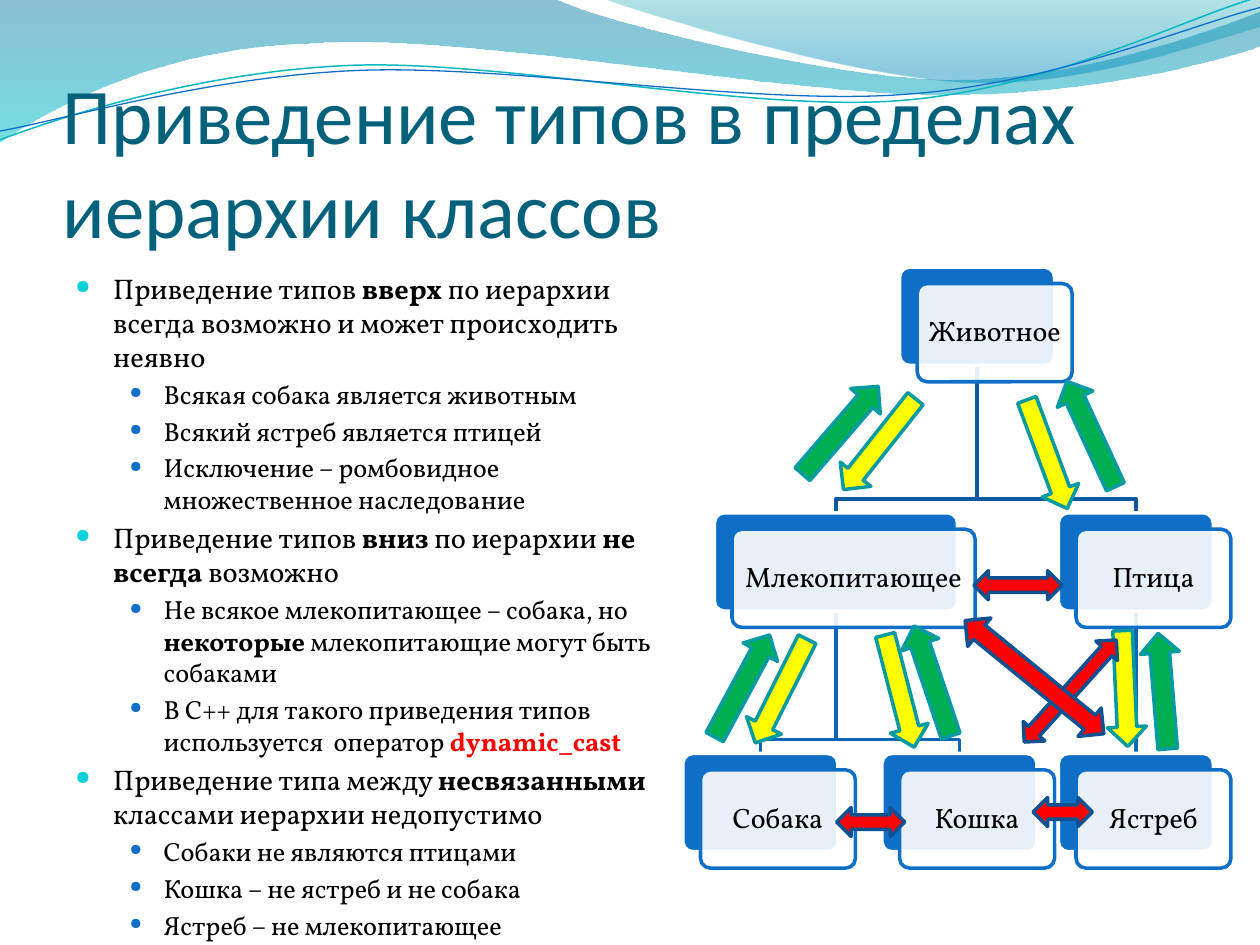
from lxml import etree
from pptx import Presentation
from pptx.dml.color import RGBColor
from pptx.enum.shapes import MSO_CONNECTOR, MSO_SHAPE
from pptx.enum.text import MSO_ANCHOR, PP_ALIGN
from pptx.oxml.ns import qn
from pptx.util import Inches, Pt

WHITE = RGBColor(0xFF, 0xFF, 0xFF)
BLACK = RGBColor(0x00, 0x00, 0x00)
TITLE = RGBColor(0x04, 0x61, 0x7B)
BLUE = RGBColor(0x0F, 0x6F, 0xC6)
CYAN = RGBColor(0x0B, 0xD0, 0xD9)
WAVE_LINE = RGBColor(0x0A, 0xB8, 0xBF)
TOP_BRANCH = RGBColor(0x0C, 0x59, 0x9F)
LOW_BRANCH = RGBColor(0x0E, 0x65, 0xB4)
GREEN = RGBColor(0x00, 0xB0, 0x50)
YELLOW = RGBColor(0xFF, 0xFF, 0x00)
RED = RGBColor(0xFF, 0x00, 0x00)
TEAL_EDGE = RGBColor(0x08, 0x9A, 0xA1)
NAVY_EDGE = RGBColor(0x0B, 0x52, 0x92)

# Waves: (start, steps); two numbers are a line, six a Bezier curve
BIG_WAVE = ((0, 0), [
    (4.4, -0.01), (4.76, 0.17, 6.64, 0.63, 7.58, 0.63), (8.53, 0.63, 9.58, 0.26, 10, 0.09),
    (10.01, 0.36), (9.83, 0.44, 8.7, 0.76, 7.46, 0.75), (6.22, 0.75, 3.82, 0.28, 2.57, 0.34),
    (1.29, 0.36, 0.46, 0.83, -0.01, 1.13)])
RIGHT_WAVE = ((4.79, -0.01), [
    (5.09, 0.11, 6.82, 0.62, 7.69, 0.65), (8.56, 0.69, 9.61, 0.32, 10, 0.21), (10, 0)])
TEAL_CURVE = ((0, 1.11), [
    (0.48, 0.93, 1.58, 0.57, 2.77, 0.52), (3.95, 0.47, 5.93, 0.89, 7.13, 0.8),
    (8.33, 0.71, 9.38, 0.15, 9.98, -0.02)])
BLUE_CURVE = ((0, 1.04), [
    (0.47, 0.96, 1.64, 0.61, 2.83, 0.56), (4.03, 0.51, 5.97, 0.84, 7.17, 0.75),
    (8.36, 0.67, 9.41, 0.21, 10, 0.06)])

# Body: (level, text); *bold*, and ! marks bold red
BODY = [
    (0, "Приведение типов *вверх* по иерархии всегда возможно и может происходить неявно"),
    (1, "Всякая собака является животным"),
    (1, "Всякий ястреб является птицей"),
    (1, "Исключение – ромбовидное множественное наследование"),
    (0, "Приведение типов *вниз *по иерархии *не всегда* возможно"),
    (1, "Не всякое млекопитающее – собака, но *некоторые* млекопитающие могут быть собаками"),
    (1, "В C++ для такого приведения типов используется  оператор *!dynamic_cast*"),
    (0, "Приведение типа между *несвязанными* классами иерархии недопустимо"),
    (1, "Собаки не являются птицами"),
    (1, "Кошка – не ястреб и не собака"),
    (1, "Ястреб – не млекопитающее"),
]
# size, left margin, hanging indent, bullet colour, bullet percent
LEVELS = [(16.2, 0.3, 0.3, CYAN, 67), (15, 0.7, 0.27, BLUE, 60)]

# Class tree, relative to its box: name -> left, top, width
CARD_H, SHIFT_X, SHIFT_Y, ELBOW = 0.78, 0.14, 0.13, 0.11
CLASSES = {
    "Животное": (1.72, 0, 1.23),
    "Млекопитающее": (0.25, 1.95, 1.93),
    "Собака": (0, 3.86, 1.23),
    "Кошка": (1.58, 3.86, 1.23),
    "Птица": (2.98, 1.95, 1.23),
    "Ястреб": (2.98, 3.86, 1.23),
}
BRANCHES = [
    ("Птица", "Ястреб", LOW_BRANCH), ("Животное", "Птица", TOP_BRANCH),
    ("Млекопитающее", "Кошка", LOW_BRANCH), ("Млекопитающее", "Собака", LOW_BRANCH),
    ("Животное", "Млекопитающее", TOP_BRANCH),
]
# Arrows, relative to the tree: left, top, rotation
UPCASTS = [(0.79, 1.14, 310.8), (2.78, 1.17, 245.3), (0.01, 3.17, 298.3),
           (1.52, 3.13, 251.5), (3.35, 3.21, 265.3)]
DOWNCASTS = [(1.1, 1.25, 128.4), (2.43, 1.33, 69.6), (3.05, 3.19, 87.4),
             (1.26, 3.21, 75.5), (0.32, 3.21, 116.6)]
# Left, top, width, height, rotation
FORBIDDEN = [(2.53, 3.25, 1.09, 0.23, 312.1), (2.31, 2.41, 0.7, 0.23, 0),
             (1.22, 4.29, 0.54, 0.23, 0), (2.78, 4.21, 0.47, 0.23, 0),
             (2.08, 3.11, 1.42, 0.29, 39.2)]


def set_alpha(color_element, percent):
    etree.SubElement(color_element, qn("a:alpha")).set("val", str(percent * 1000))


def set_line(shape, color, width):
    shape.line.color.rgb = color
    shape.line.width = Pt(width)


def add_outline(slide, points, close):
    emu = [(Inches(x), Inches(y)) for x, y in points]
    builder = slide.shapes.build_freeform(*emu[0])
    builder.add_line_segments(emu[1:], close=close)
    outline = builder.convert_to_shape()
    outline.shadow.inherit = False
    if not close:
        outline.fill.background()
    return outline


def add_wave(slide, left, top, wave, close):
    """Place all nodes and handles, then join each three of a curve into one Bezier."""
    start, steps = wave
    numbers = [n for step in (start, *steps) for n in step]
    points = [(left + x, top + y) for x, y in zip(numbers[::2], numbers[1::2])]
    outline = add_outline(slide, points, close)
    segments = iter(list(outline._element.iter(qn("a:lnTo"))))
    for step in steps:
        first = next(segments)
        if len(step) == 6:
            curve = etree.Element(qn("a:cubicBezTo"))
            first.addprevious(curve)
            for segment in (first, next(segments), next(segments)):
                curve.append(segment[0])
                segment.getparent().remove(segment)
    return outline


def add_waves(slide, left, top):
    # Filled waves: stops are position, colour, opacity
    for wave, stops in [(BIG_WAVE, [(0, "0074A1", 45), (1, "00C6CF", 55)]),
                        (RIGHT_WAVE, [(0, "00A1A9", 30), (0.8, "008BBF", 45)])]:
        band = add_wave(slide, left, top, wave, True)
        band.line.fill.background()
        band.fill.gradient()
        band.fill.gradient_angle = 270
        for stop, (position, color, opacity) in zip(band.fill.gradient_stops, stops):
            stop.position = position
            stop.color.rgb = RGBColor.from_string(color)
        for element, (_, _, opacity) in zip(band._element.iter(qn("a:srgbClr")), stops):
            set_alpha(element, opacity)
    # Thin curves
    set_line(add_wave(slide, left, top, TEAL_CURVE, False), WAVE_LINE, 0.85)
    set_line(add_wave(slide, left, top, BLUE_CURVE, False), BLUE, 0.75)


def add_title(slide, left, top, width, height):
    frame = slide.shapes.add_textbox(*map(Inches, (left, top, width, height))).text_frame
    frame.word_wrap = True
    frame.vertical_anchor = MSO_ANCHOR.BOTTOM
    frame.margin_left = frame.margin_right = frame.margin_bottom = 0
    heading = frame.paragraphs[0]
    heading.text = "Приведение типов в пределах иерархии классов"
    heading.font.size, heading.font.name = Pt(45), "Calibri"
    heading.font.color.rgb = TITLE


def add_bullet(paragraph, margin, hanging, color, percent):
    props = paragraph._p.get_or_add_pPr()
    props.set("marL", str(Inches(margin)))
    props.set("indent", str(-Inches(hanging)))
    bullet_color = etree.SubElement(props, qn("a:buClr"))
    etree.SubElement(bullet_color, qn("a:srgbClr")).set("val", str(color))
    etree.SubElement(props, qn("a:buSzPct")).set("val", str(percent * 1000))
    etree.SubElement(props, qn("a:buChar")).set("char", "●")


def add_body(slide, left, top, width, height):
    frame = slide.shapes.add_textbox(*map(Inches, (left, top, width, height))).text_frame
    frame.word_wrap = True
    for index, (level, text) in enumerate(BODY):
        item = frame.add_paragraph() if index else frame.paragraphs[0]
        size, *bullet = LEVELS[level]
        item.level = level
        add_bullet(item, *bullet)
        if index:
            item.space_before = Pt(round(size * 0.2, 1))
        item.font.size, item.font.name = Pt(size), "Vollkorn"
        item.font.color.rgb = BLACK
        for part, words in enumerate(text.split("*")):
            if words:
                run = item.add_run()
                run.text = words.lstrip("!")
                if part % 2:
                    run.font.bold = True
                if words.startswith("!"):
                    run.font.color.rgb = RED


def add_block(slide, kind, box, fill, edge, rotation=0):
    block = slide.shapes.add_shape(kind, *map(Inches, box))
    block.shadow.inherit = False
    block.fill.solid()
    block.fill.fore_color.rgb = fill
    set_line(block, edge, 2)
    block.rotation = rotation
    return block


def add_branch(slide, left, top, parent, child, color):
    (px, py, pw), (cx, cy, cw) = CLASSES[parent], CLASSES[child]
    x1, y1 = left + px + pw / 2, top + py + CARD_H
    x2, y2 = left + cx + cw / 2, top + cy
    if x1 == x2:
        branch = slide.shapes.add_connector(MSO_CONNECTOR.STRAIGHT, *map(Inches, (x1, y1, x2, y2)))
        etree.SubElement(branch._element.spPr, qn("a:effectLst"))
    else:
        bend = y2 - ELBOW
        branch = add_outline(slide, [(x1, y1), (x1, bend), (x2, bend), (x2, y2)], False)
    set_line(branch, color, 2)


def add_card(slide, name, left, top, width):
    back = add_block(slide, MSO_SHAPE.ROUNDED_RECTANGLE, (left, top, width, CARD_H), BLUE, WHITE)
    front = add_block(slide, MSO_SHAPE.ROUNDED_RECTANGLE,
                      (left + SHIFT_X, top + SHIFT_Y, width, CARD_H), WHITE, BLUE)
    back.adjustments[0] = front.adjustments[0] = 0.1
    set_alpha(front._element.spPr.find(qn("a:solidFill"))[0], 90)
    frame = front.text_frame
    frame.margin_left = frame.margin_right = Inches(0.04)
    frame.vertical_anchor = MSO_ANCHOR.MIDDLE
    label = frame.paragraphs[0]
    label.text = name
    label.alignment, label.line_spacing = PP_ALIGN.CENTER, 0.9
    label.font.size, label.font.name = Pt(16), "Vollkorn"
    label.font.color.rgb = BLACK


def add_class_tree(slide, left, top):
    for branch in BRANCHES:
        add_branch(slide, left, top, *branch)
    for name, (x, y, width) in CLASSES.items():
        add_card(slide, name, left + x, top + y, width)
    # Casts up, casts down, then casts between unrelated classes
    for casts, fill in [(UPCASTS, GREEN), (DOWNCASTS, YELLOW)]:
        for x, y, rotation in casts:
            add_block(slide, MSO_SHAPE.RIGHT_ARROW, (left + x, top + y, 0.92, 0.31),
                      fill, TEAL_EDGE, rotation)
    for x, y, width, height, rotation in FORBIDDEN:
        add_block(slide, MSO_SHAPE.LEFT_RIGHT_ARROW, (left + x, top + y, width, height),
                  RED, NAVY_EDGE, rotation)


def main():
    deck = Presentation()
    deck.slide_width, deck.slide_height = Inches(10), Inches(7.5)
    slide = deck.slides.add_slide(deck.slide_layouts[6])
    add_waves(slide, 0, 0)
    add_title(slide, 0.5, 0.77, 9, 1.25)
    add_body(slide, 0.5, 2.1, 4.81, 4.85)
    add_class_tree(slide, 5.42, 2.12)
    deck.save("out.pptx")


if __name__ == "__main__":
    main()
